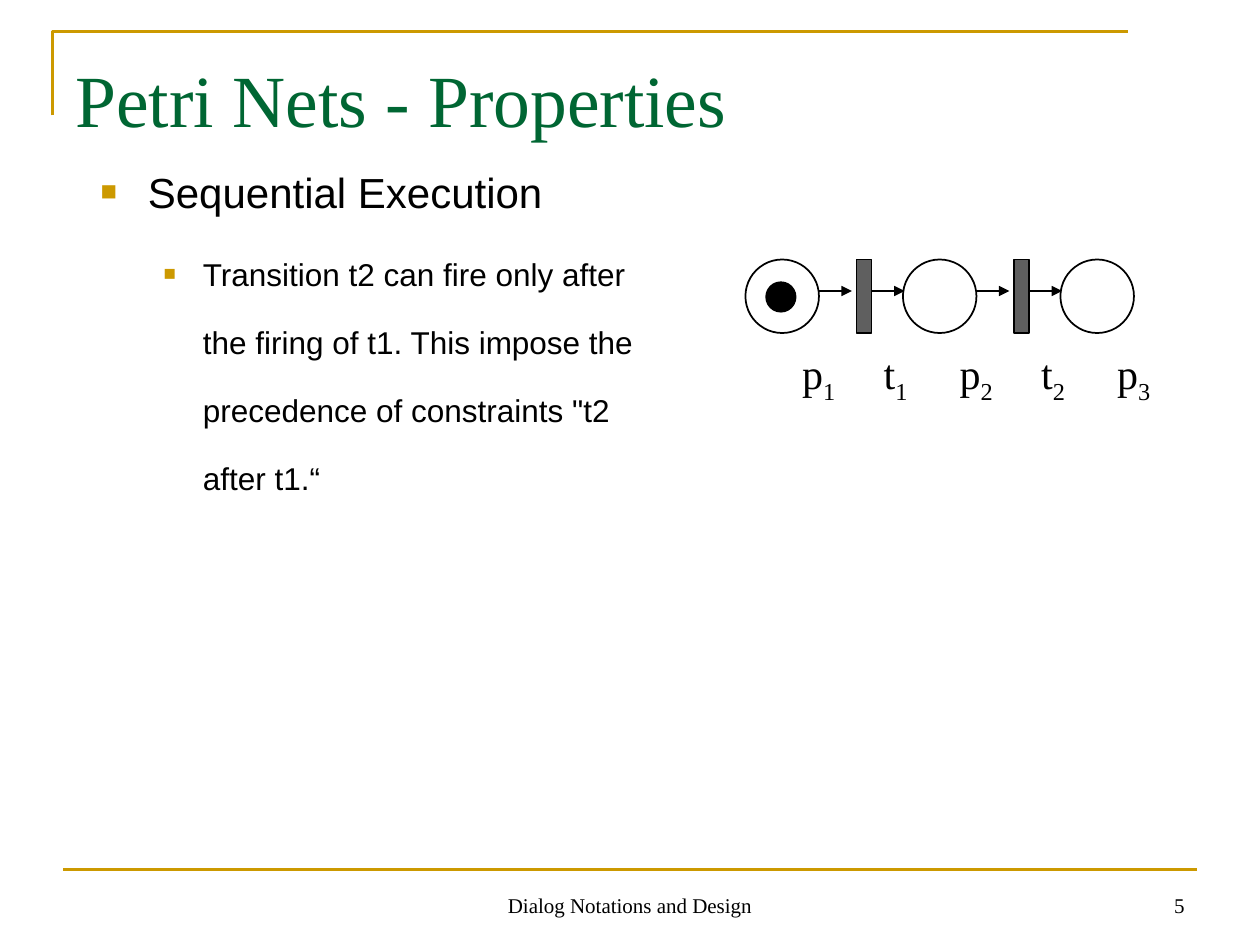
from lxml import etree
from pptx import Presentation
from pptx.dml.color import RGBColor
from pptx.enum import shapes, text
from pptx.oxml.ns import qn
from pptx.util import Pt

THEME = {
    "gold": "CC9900", "green": "006633", "black": "000000", "gray": "5F5F5F",
    "serif": "Times New Roman", "sans": "Arial",
    "title": 42, "heading": 24, "body": 18, "label": 24, "footer": 12,
}
TITLE = "Petri Nets - Properties"
BULLETS = [
    {"text": "Sequential Execution", "size": "heading", "margin": 27, "hang": 27, "before": 0},
    {"text": "Transition t2 can fire only after the firing of t1. "
             "This impose the precedence of constraints \"t2 after t1.“",
     "size": "body", "margin": 58.5, "hang": 22.5, "before": 4.5},
]
FOOTERS = [
    ("Dialog Notations and Design", 246, 228, text.PP_ALIGN.CENTER),
    ("5", 516, 168, text.PP_ALIGN.RIGHT),
]
PLACES = [("p", "1"), ("p", "2"), ("p", "3")]
TRANSITIONS = [("t", "1"), ("t", "2")]
NET = {"left": 426, "top": 148.3, "pitch": 90, "size": 42, "bar_dx": 63.5, "bar_w": 8.6,
       "arrow_y": 166.3, "arrow_w": 18.8, "token_dx": 11.8, "token_dy": 13, "token": 16.8}
LABEL = {"top": 198.6, "place_dx": 32.4, "transition_dx": 79, "w": 32, "h": 30}

prs = Presentation()
prs.slide_width, prs.slide_height = Pt(720), Pt(540)
slide = prs.slides.add_slide(prs.slide_layouts[6])


def color(name):
    return RGBColor.from_string(THEME[name])


def set_line(sp, name, width):
    sp.line.color.rgb = color(name)
    sp.line.width = Pt(width)


def add_box(x, y, w, h, insets=(7.2, 3.6, 7.2, 3.6), anchor=text.MSO_ANCHOR.TOP):
    tf = slide.shapes.add_textbox(Pt(x), Pt(y), Pt(w), Pt(h)).text_frame
    tf.word_wrap = True
    tf.vertical_anchor = anchor
    tf.margin_left, tf.margin_top, tf.margin_right, tf.margin_bottom = map(Pt, insets)
    return tf


def add_run(p, words, size, font="serif", fill="black"):
    r = p.add_run()
    r.text = words
    r.font.size, r.font.name = Pt(THEME[size]), THEME[font]
    r.font.color.rgb = color(fill)
    return r


def add_bullet(p, margin, hang):
    pPr = p._p.get_or_add_pPr()
    pPr.set("marL", str(Pt(margin)))
    pPr.set("indent", str(-Pt(hang)))
    clr = etree.SubElement(pPr, qn("a:buClr"))
    etree.SubElement(clr, qn("a:srgbClr"), val=THEME["gold"])
    etree.SubElement(pPr, qn("a:buSzPct"), val="65000")
    etree.SubElement(pPr, qn("a:buFont"), typeface=THEME["sans"])
    etree.SubElement(pPr, qn("a:buChar"), char="■")


def add_line(x1, y1, x2, y2, name, width, arrow=False):
    line = slide.shapes.add_connector(shapes.MSO_CONNECTOR.STRAIGHT, Pt(x1), Pt(y1), Pt(x2), Pt(y2))
    set_line(line, name, width)
    if arrow:
        etree.SubElement(line.line._get_or_add_ln(), qn("a:tailEnd"), type="triangle")
    etree.SubElement(line._element.spPr, qn("a:effectLst"))


def add_node(kind, x, y, w, h, width, fill=None):
    sp = slide.shapes.add_shape(kind, Pt(x), Pt(y), Pt(w), Pt(h))
    sp.shadow.inherit = False
    set_line(sp, "black", width)
    if fill:
        sp.fill.solid()
        sp.fill.fore_color.rgb = color(fill)
    else:
        sp.fill.background()


def add_label(x, letter, index):
    p = add_box(x, LABEL["top"], LABEL["w"], LABEL["h"], (0, 0, 0, 0)).paragraphs[0]
    add_run(p, letter, "label")
    r = add_run(p, index, "label")
    r._r.get_or_add_rPr().set("baseline", "-25000")


builder = slide.shapes.build_freeform(Pt(30), Pt(66))
builder.add_line_segments([(Pt(30), Pt(18)), (Pt(644.4), Pt(18))], close=False)
corner = builder.convert_to_shape()
corner.shadow.inherit = False
corner.fill.background()
set_line(corner, "gold", 1.5)
add_line(36, 496.8, 684, 496.8, "gold", 1.5)

tf = add_box(36, 21.6, 648, 90, (7.2, 9, 7.2, 3.6))
add_run(tf.paragraphs[0], TITLE, "title", fill="green")

tf = add_box(50.4, 68.4, 340.6, 216)
for i, item in enumerate(BULLETS):
    p = tf.add_paragraph() if i else tf.paragraphs[0]
    p.level = i
    p.line_spacing = 1.8
    p.space_before = Pt(item["before"])
    add_bullet(p, item["margin"], item["hang"])
    add_run(p, item["text"], item["size"], "sans")

for words, x, w, align in FOOTERS:
    p = add_box(x, 491.8, w, 36, anchor=text.MSO_ANCHOR.BOTTOM).paragraphs[0]
    p.alignment = align
    add_run(p, words, "footer")

OVAL, BAR = shapes.MSO_SHAPE.OVAL, shapes.MSO_SHAPE.RECTANGLE
for i, place in enumerate(PLACES):
    x = NET["left"] + i * NET["pitch"]
    add_node(OVAL, x, NET["top"], NET["size"], NET["size"], 1)
    add_label(x + LABEL["place_dx"], *place)

for i, transition in enumerate(TRANSITIONS):
    x = NET["left"] + i * NET["pitch"]
    bar_x = x + NET["bar_dx"]
    add_node(BAR, bar_x, NET["top"], NET["bar_w"], NET["size"], 0.75, "gray")
    for start in (x + NET["size"], bar_x + NET["bar_w"]):
        add_line(start, NET["arrow_y"], start + NET["arrow_w"], NET["arrow_y"], "black", 0.75, True)
    add_label(x + LABEL["transition_dx"], *transition)

add_node(OVAL, NET["left"] + NET["token_dx"], NET["top"] + NET["token_dy"],
         NET["token"], NET["token"], 1, "black")

prs.save("out.pptx")
